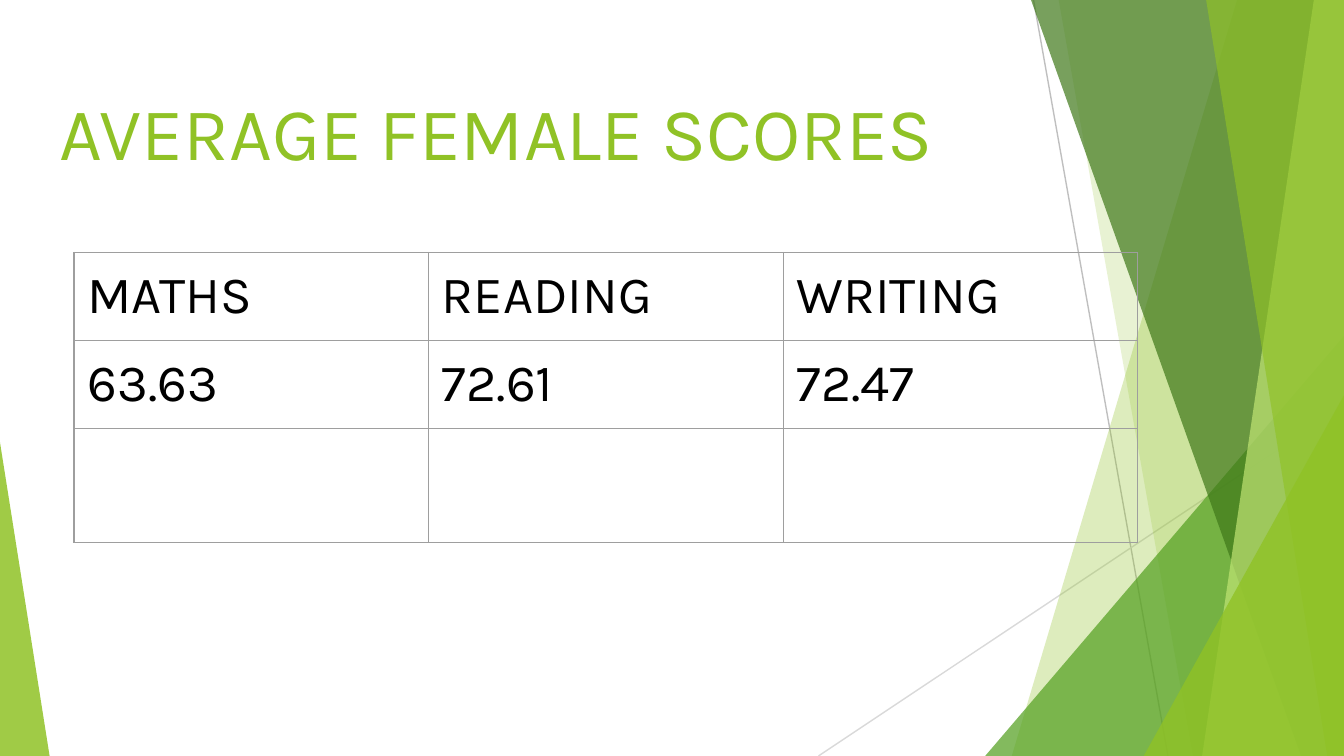
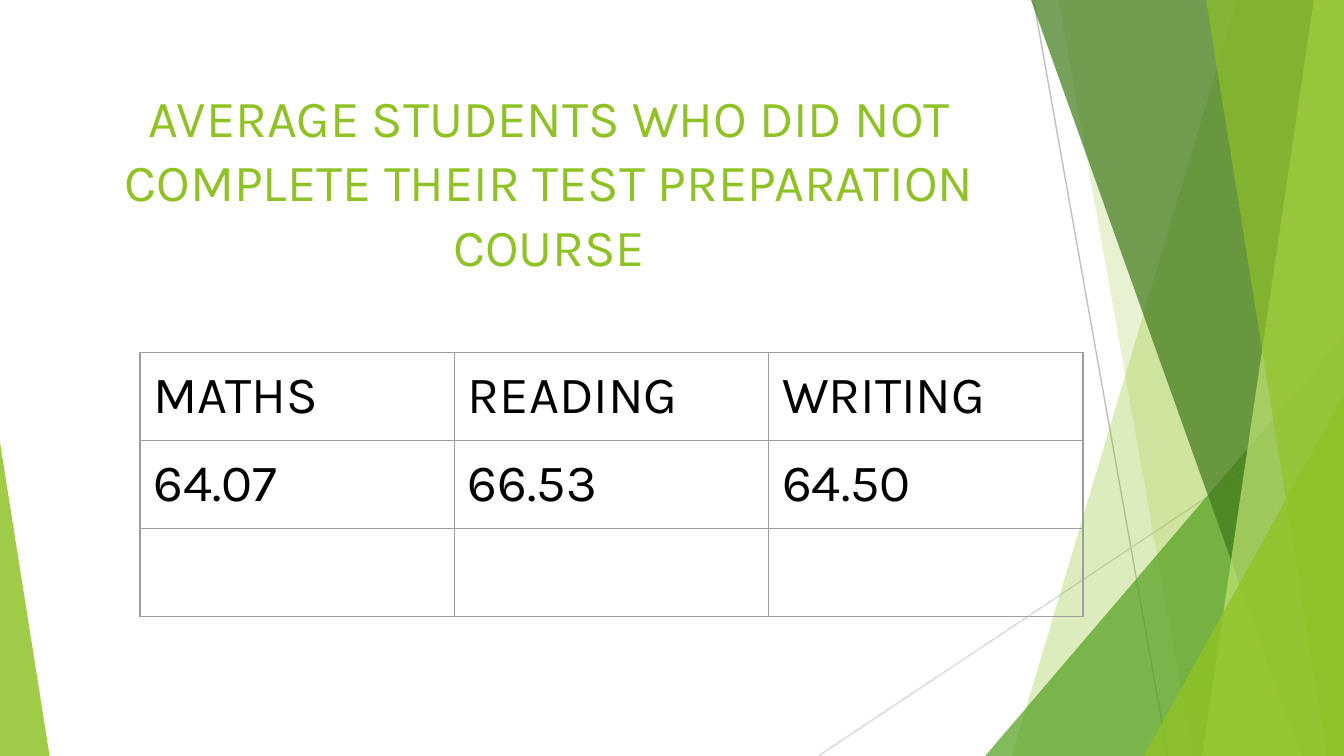
from typing import NamedTuple

from lxml.etree import SubElement
from pptx import Presentation
from pptx.dml.color import RGBColor
from pptx.enum.shapes import MSO_CONNECTOR, MSO_SHAPE
from pptx.enum.text import MSO_ANCHOR, MSO_AUTO_SIZE, PP_ALIGN
from pptx.oxml.ns import qn
from pptx.util import Pt

WIDTH, HEIGHT = 720, 405
BAND_TOP = -0.7
FONT = "Karla"
INSET = 7.2
TABLE_SIZE = 28
COLORS = {
    "lime": "90C226",
    "green": "54A021",
    "dark": "3F7819",
    "pale": "C0E474",
    "line": "BFBFBF",
    "faint": "D9D9D9",
    "border": "9E9E9E",
    "text": "000000",
}


class Ray(NamedTuple):
    x1: float
    y1: float
    x2: float
    y2: float
    color: str


class Band(NamedTuple):
    """A slanted left edge, filled out to the right side of the slide."""
    top_x: float
    bottom_x: float
    color: str
    opacity: int


class Corner(NamedTuple):
    """A right triangle standing on the bottom of the slide."""
    left: float
    top: float
    width: float
    apex: float
    color: str
    opacity: int


class ScoreSlide(NamedTuple):
    title: str
    title_box: tuple[float, float, float, float]
    title_size: float
    title_inset: float
    line_spacing: float
    align: PP_ALIGN
    table_at: tuple[float, float]
    col_width: float
    row_heights: tuple[float, ...]
    scores: tuple[str, ...]


SUBJECTS = ("MATHS", "READING", "WRITING")
DECOR = (
    Ray(553.7, 0, 625.7, HEIGHT, "line"),
    Ray(WIDTH, 217.4, 438.5, HEIGHT, "faint"),
    Band(663.1, 542.2, "lime", 30),
    Band(567.4, 638.6, "lime", 20),
    Corner(527.8, 180, 192.2, 1, "green", 72),
    Band(551.5, 697, "dark", 70),
    Band(704.2, 643.7, "pale", 70),
    Band(645.8, 711.4, "lime", 65),
    Corner(612.7, 211.7, 107.3, 1, "lime", 80),
    Corner(0, 236.9, 26.6, 0, "lime", 85),
)
SLIDES = (
    ScoreSlide("AVERAGE FEMALE SCORES", (24.5, 35.3, 671, 74.2), 40, 10.7, 1,
               PP_ALIGN.LEFT, (39.6, 135.2), 190, (47.1, 47.1, 61),
               ("63.63", "72.61", "72.47")),
    ScoreSlide("AVERAGE STUDENTS WHO DID NOT COMPLETE THEIR TEST PREPARATION COURSE",
               (24.5, 35.3, 539.3, 94.3), 27.9, 9.5, 1.03,
               PP_ALIGN.CENTER, (75, 188.7), 168.4, (47.1, 47.1, 47.1),
               ("64.07", "66.53", "64.50")),
)


def rgb(name: str) -> RGBColor:
    return RGBColor.from_string(COLORS[name])


def add_run(p, text: str, size: float, color: str) -> None:
    r = p.add_run()
    r.text = text
    r.font.name = FONT
    r.font.size = Pt(size)
    r.font.color.rgb = rgb(color)


def paint(sp, color: str, opacity: int) -> None:
    sp.shadow.inherit = False
    sp.line.fill.background()
    sp.fill.solid()
    sp.fill.fore_color.rgb = rgb(color)
    clr = sp.fill._xPr.find(qn("a:solidFill"))[0]
    SubElement(clr, qn("a:alpha")).set("val", str(opacity * 1000))


def draw_ray(shapes, ray: Ray):
    line = shapes.add_connector(MSO_CONNECTOR.STRAIGHT, Pt(ray.x1), Pt(ray.y1),
                                Pt(ray.x2), Pt(ray.y2))
    line.line.color.rgb = rgb(ray.color)
    line.line.width = Pt(0.75)
    SubElement(line._element.spPr, qn("a:effectLst"))
    return line


def draw_band(shapes, band: Band):
    outline = shapes.build_freeform(band.top_x, BAND_TOP, scale=Pt(1))
    outline.add_line_segments(
        [(WIDTH, BAND_TOP), (WIDTH, HEIGHT), (band.bottom_x, HEIGHT)], close=True)
    sp = outline.convert_to_shape()
    paint(sp, band.color, band.opacity)
    return sp


def draw_corner(shapes, corner: Corner):
    sp = shapes.add_shape(MSO_SHAPE.ISOSCELES_TRIANGLE, Pt(corner.left), Pt(corner.top),
                          Pt(corner.width), Pt(HEIGHT - corner.top))
    sp.adjustments[0] = corner.apex
    paint(sp, corner.color, corner.opacity)
    return sp


def decorate_layout(slide) -> None:
    """Draw the facets on a slide, then move them to its layout for all slides."""
    draw = {Ray: draw_ray, Band: draw_band, Corner: draw_corner}
    for item in DECOR:
        sp = draw[type(item)](slide.shapes, item)
        slide.slide_layout.shapes._spTree.append(sp._element)


def set_title(slide, spec_: ScoreSlide) -> None:
    sp = slide.shapes.title
    sp.left, sp.top, sp.width, sp.height = map(Pt, spec_.title_box)
    tf = sp.text_frame
    tf.word_wrap = True
    tf.auto_size = MSO_AUTO_SIZE.NONE
    tf.vertical_anchor = MSO_ANCHOR.TOP
    tf.margin_left = tf.margin_right = tf.margin_bottom = Pt(INSET)
    tf.margin_top = Pt(spec_.title_inset)
    p = tf.paragraphs[0]
    p.alignment = spec_.align
    p.line_spacing = spec_.line_spacing
    add_run(p, spec_.title, spec_.title_size, "lime")


def style_cell(cell) -> None:
    cell.margin_left = cell.margin_right = Pt(INSET)
    cell.margin_top = cell.margin_bottom = Pt(INSET)
    tcPr = cell._tc.get_or_add_tcPr()
    for side in ("L", "R", "T", "B"):
        ln = SubElement(tcPr, qn(f"a:ln{side}"), w=str(Pt(0.75)))
        fill = SubElement(ln, qn("a:solidFill"))
        SubElement(fill, qn("a:srgbClr"), val=COLORS["border"])
    cell.fill.background()


def add_scores(slide, item: ScoreSlide) -> None:
    left, top = item.table_at
    rows, cols = len(item.row_heights), len(SUBJECTS)
    table = slide.shapes.add_table(rows, cols, Pt(left), Pt(top), Pt(item.col_width * cols),
                                   Pt(sum(item.row_heights))).table
    table.first_row = table.horz_banding = False
    for col in table.columns:
        col.width = Pt(item.col_width)
    for row, height in zip(table.rows, item.row_heights):
        row.height = Pt(height)
    for cell in table.iter_cells():
        style_cell(cell)
    for i, texts in enumerate((SUBJECTS, item.scores)):
        for j, text in enumerate(texts):
            add_run(table.cell(i, j).text_frame.paragraphs[0], text, TABLE_SIZE, "text")


def main() -> None:
    prs = Presentation()
    prs.slide_width, prs.slide_height = Pt(WIDTH), Pt(HEIGHT)
    title_only = prs.slide_layouts[5]
    for item in SLIDES:
        slide = prs.slides.add_slide(title_only)
        if item is SLIDES[0]:
            decorate_layout(slide)
        set_title(slide, item)
        add_scores(slide, item)
    prs.save("out.pptx")


if __name__ == "__main__":
    main()
